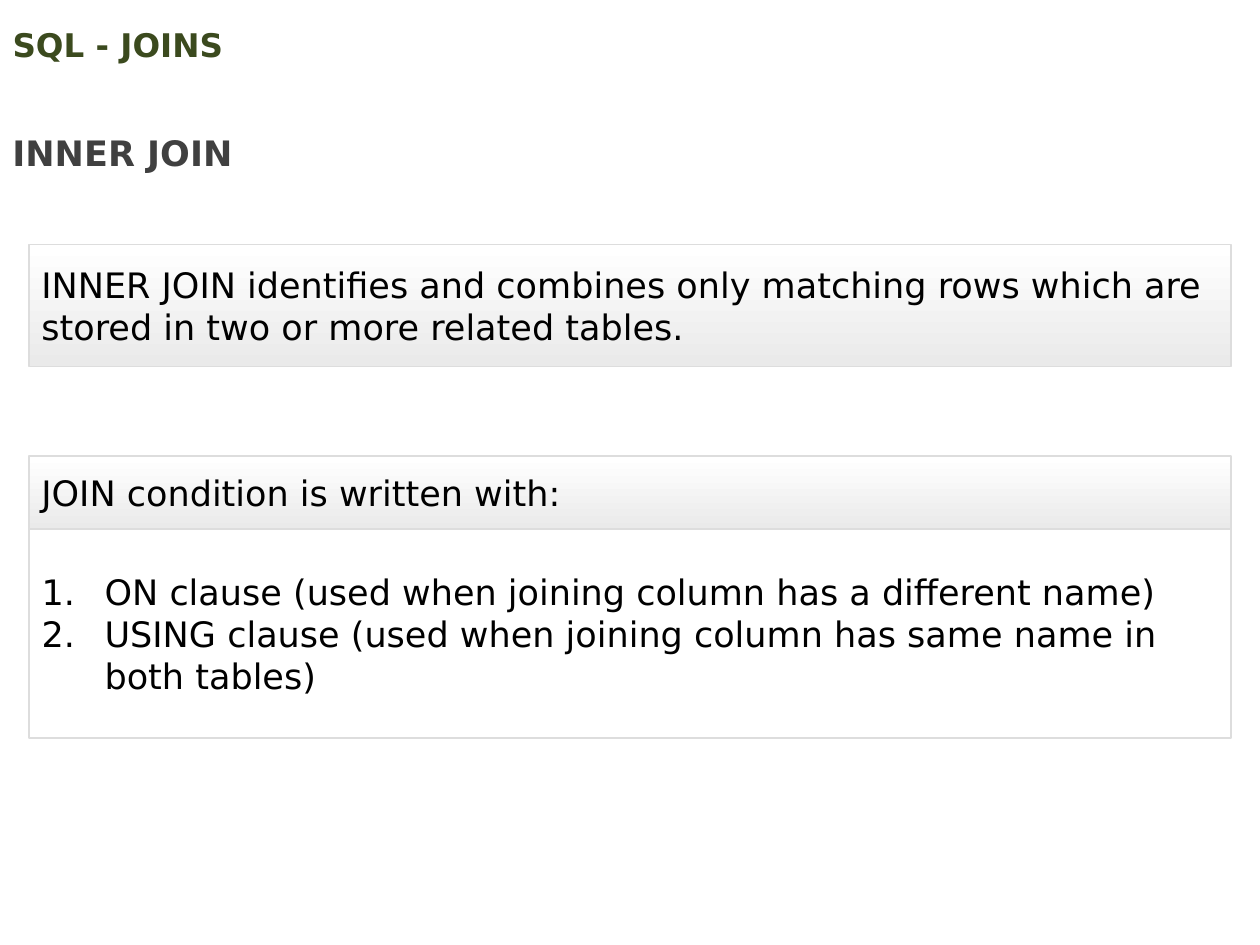
from dataclasses import dataclass

import pptx
import pptx.dml.color
import pptx.enum.shapes
import pptx.enum.text
import pptx.oxml
import pptx.oxml.ns
import pptx.util

Inches = pptx.util.Inches
Pt = pptx.util.Pt
RGBColor = pptx.dml.color.RGBColor
Anchor = pptx.enum.text.MSO_ANCHOR

FONT = "DejaVu Sans"
GREEN = RGBColor(0x3B, 0x4A, 0x1E)
DARK_GRAY = RGBColor(0x40, 0x40, 0x40)
BLACK = RGBColor(0, 0, 0)
WHITE = RGBColor(0xFF, 0xFF, 0xFF)
PALE_GRAY = RGBColor(0xEA, 0xEA, 0xEA)
BORDER_GRAY = RGBColor(0xDD, 0xDD, 0xDD)

PANEL_LEFT, PANEL_WIDTH = 0.23, 9.54


@dataclass
class Panel:
    top: float
    height: float
    text: str


SHADED_PANELS = [
    Panel(1.94, 0.97, "INNER JOIN identifies and combines only matching rows "
                      "which are stored in two or more related tables."),
    Panel(3.62, 0.58, "JOIN condition is written with:"),
]
LIST_TOP, LIST_HEIGHT = 4.19, 1.67
CLAUSES = [
    "ON clause (used when joining column has a different name)",
    "USING clause (used when joining column has same name in both tables)",
]


def place(shape, left: float, top: float, width: float, height: float) -> None:
    shape.left, shape.top = Inches(left), Inches(top)
    shape.width, shape.height = Inches(width), Inches(height)


def set_frame(shape, anchor, vertical_inset: float):
    frame = shape.text_frame
    frame.word_wrap = True
    frame.auto_size = pptx.enum.text.MSO_AUTO_SIZE.NONE
    frame.vertical_anchor = anchor
    frame.margin_left = frame.margin_right = Inches(0.1)
    frame.margin_top = frame.margin_bottom = Inches(vertical_inset)
    return frame


def write(paragraph, text: str, color: RGBColor = BLACK,
          size: float = 20, bold: bool = False) -> None:
    paragraph.alignment = pptx.enum.text.PP_ALIGN.LEFT
    run = paragraph.add_run()
    run.text = text
    run.font.name = FONT
    run.font.size = Pt(size)
    run.font.bold = bold
    run.font.color.rgb = color


def set_border(shape) -> None:
    shape.line.color.rgb = BORDER_GRAY
    shape.line.width = Pt(1)


def add_shaded_panel(slide, panel: Panel) -> None:
    shape = slide.shapes.add_shape(
        pptx.enum.shapes.MSO_SHAPE.RECTANGLE, Inches(PANEL_LEFT),
        Inches(panel.top), Inches(PANEL_WIDTH), Inches(panel.height))
    shape.shadow.inherit = False
    shape.fill.gradient()
    shape.fill.gradient_angle = 270
    for stop, color, position in zip(
            shape.fill.gradient_stops, (WHITE, PALE_GRAY), (0, 1)):
        stop.color.rgb = color
        stop.position = position
    set_border(shape)
    frame = set_frame(shape, Anchor.MIDDLE, 0)
    write(frame.paragraphs[0], panel.text)


def number_paragraph(paragraph) -> None:
    properties = paragraph._p.get_or_add_pPr()
    properties.set("marL", str(Inches(0.5)))
    properties.set("indent", str(Inches(-0.5)))
    namespace = pptx.oxml.ns.nsdecls("a")
    for element in (
            f'<a:buClr {namespace}><a:srgbClr val="{BLACK}"/></a:buClr>',
            f'<a:buFont {namespace} typeface="{FONT}"/>',
            f'<a:buAutoNum {namespace} type="arabicPeriod"/>'):
        properties.append(pptx.oxml.parse_xml(element))


def fill_clause_list(body) -> None:
    place(body, PANEL_LEFT, LIST_TOP, PANEL_WIDTH, LIST_HEIGHT)
    set_border(body)
    frame = set_frame(body, Anchor.MIDDLE, 0)
    for index, clause in enumerate(CLAUSES):
        paragraph = frame.add_paragraph() if index else frame.paragraphs[0]
        number_paragraph(paragraph)
        paragraph.space_before = Pt(0)
        write(paragraph, clause)


def main() -> None:
    presentation = pptx.Presentation()
    presentation.slide_width = Inches(10)
    presentation.slide_height = Inches(7.5)
    slide = presentation.slides.add_slide(presentation.slide_layouts[1])

    title = slide.shapes.title
    place(title, 0, 0.14, 9, 0.43)
    frame = set_frame(title, Anchor.MIDDLE, 0.05)
    write(frame.paragraphs[0], "SQL - JOINS", GREEN, 18.6, True)

    heading = slide.shapes.add_textbox(
        Inches(0), Inches(0.83), Inches(7.09), Inches(0.6))
    frame = set_frame(heading, Anchor.TOP, 0.05)
    frame.paragraphs[0].line_spacing = 1.5
    write(frame.paragraphs[0], "INNER JOIN", DARK_GRAY, bold=True)

    for panel in SHADED_PANELS:
        add_shaded_panel(slide, panel)
    fill_clause_list(slide.placeholders[1])

    presentation.save("out.pptx")


if __name__ == "__main__":
    main()
